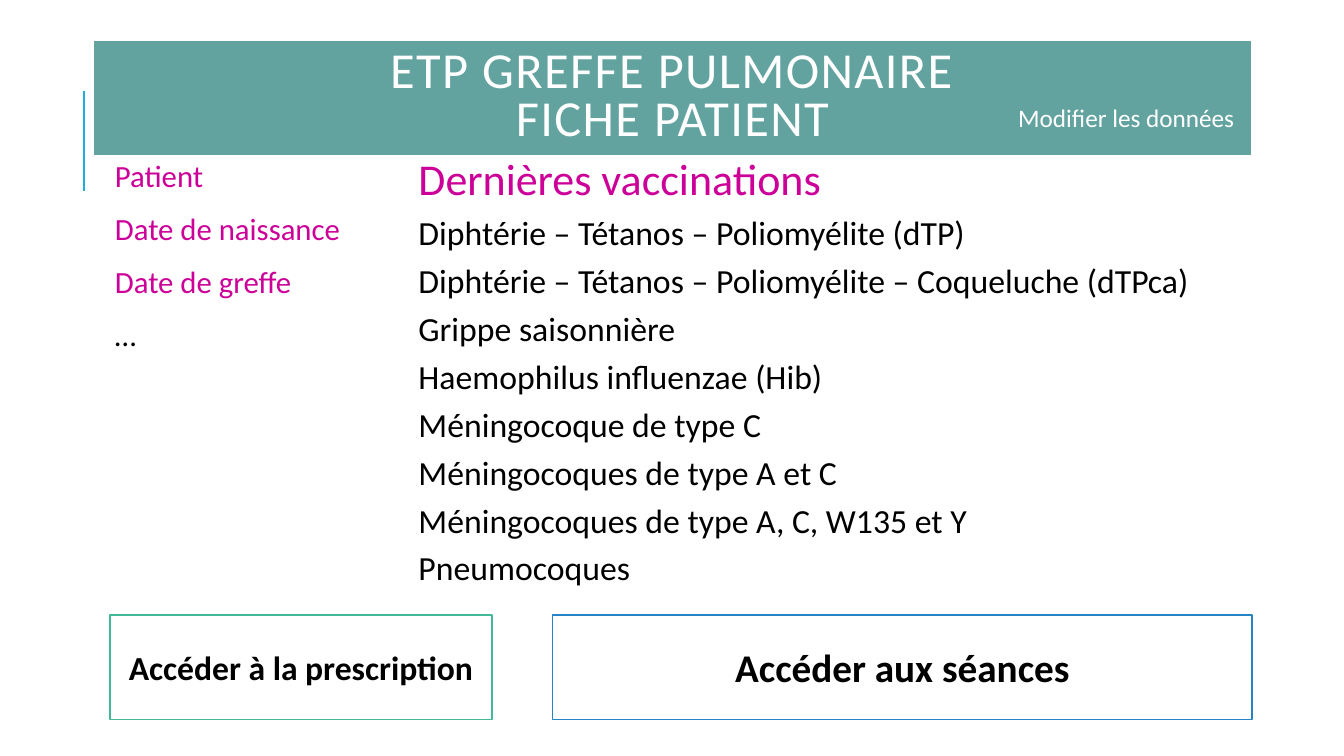
from dataclasses import dataclass

from lxml.etree import SubElement
from pptx import Presentation
from pptx.dml.color import RGBColor
from pptx.enum.shapes import MSO_CONNECTOR, MSO_SHAPE
from pptx.enum.text import MSO_ANCHOR, MSO_AUTO_SIZE, PP_ALIGN
from pptx.oxml.ns import qn
from pptx.util import Inches, Pt

WIDE, HIGH = Inches(13.33), Inches(7.5)
FONT = "Calibri"
HUES = {
    "white": "FFFFFF", "black": "000000", "pink": "CC0099", "teal": "62A39F",
    "cyan": "1CADE4", "green": "42BA97", "blue": "2683C6",
}

# Shared edges, in percent of the slide's width or height
LEFT, RIGHT = 8.18, 93.17
HEAD, FOOT = 5.33, 81.33


@dataclass
class Box:
    left: float
    top: float
    right: float
    base: float

    def place(self) -> tuple[int, int, int, int]:
        return (across(self.left), down(self.top),
                across(self.right - self.left), down(self.base - self.top))


@dataclass
class Line:
    text: str
    size: float
    hue: str = "black"
    bold: bool = False


@dataclass
class Panel:
    box: Box
    lines: list[Line]
    pitch: float = 1.0
    before: float = 0
    after: float = 0
    inset: float = 0.1


@dataclass
class Button:
    box: Box
    line: Line
    edge: str


def across(share: float) -> int:
    return round(WIDE * share / 100)


def down(share: float) -> int:
    return round(HIGH * share / 100)


def tint(name: str) -> RGBColor:
    return RGBColor.from_string(HUES[name])


def write(para, line: Line):
    run = para.add_run()
    run.text = line.text
    font = run.font
    font.name, font.size, font.bold = FONT, Pt(line.size), line.bold
    font.color.rgb = tint(line.hue)
    return run


def paint(shape, fill: str, edge: str, width: float) -> None:
    shape.fill.solid()
    shape.fill.fore_color.rgb = tint(fill)
    shape.line.color.rgb = tint(edge)
    shape.line.width = Pt(width)


def draw_title(slide, box: Box, lines: list[Line]) -> None:
    title = slide.shapes.title
    title.left, title.top, title.width, title.height = box.place()
    paint(title, "teal", "white", 1.5)
    frame = title.text_frame
    frame.auto_size = MSO_AUTO_SIZE.NONE
    frame.vertical_anchor = MSO_ANCHOR.MIDDLE
    para = frame.paragraphs[0]
    para.alignment, para.line_spacing = PP_ALIGN.CENTER, 0.8
    for i, line in enumerate(lines):
        if i:
            para.add_line_break()
        # Letter spacing of one point
        write(para, line).font._element.set("spc", "100")


def draw_rule(slide, x: float, top: float, base: float) -> None:
    rule = slide.shapes.add_connector(
        MSO_CONNECTOR.STRAIGHT, across(x), down(base), across(x), down(top))
    rule.line.color.rgb = tint("cyan")
    rule.line.width = Pt(1.5)
    SubElement(rule._element.spPr, qn("a:effectLst"))


def draw_panel(slide, panel: Panel) -> None:
    frame = slide.shapes.add_textbox(*panel.box.place()).text_frame
    frame.word_wrap = True
    frame.margin_left = frame.margin_right = Inches(panel.inset)
    frame.margin_top = frame.margin_bottom = Inches(0.05)
    for i, line in enumerate(panel.lines):
        para = frame.add_paragraph() if i else frame.paragraphs[0]
        para.line_spacing = panel.pitch
        para.space_before, para.space_after = Pt(panel.before), Pt(panel.after)
        write(para, line)


def draw_button(slide, button: Button) -> None:
    shape = slide.shapes.add_shape(MSO_SHAPE.RECTANGLE, *button.box.place())
    shape.shadow.inherit = False
    paint(shape, "white", button.edge, 1.25)
    frame = shape.text_frame
    frame.word_wrap = True
    frame.vertical_anchor = MSO_ANCHOR.MIDDLE
    frame.paragraphs[0].alignment = PP_ALIGN.CENTER
    write(frame.paragraphs[0], button.line)


# Wording
TITLE = [Line(text, 36, "white")
         for text in ("ETP GREFFE PULMONAIRE", "FICHE PATIENT")]
FIELDS = [Line(text, 22, "pink")
          for text in ("Patient", "Date de naissance", "Date de greffe")]
SHOTS = [Line(text, 24.1) for text in (
    "Diphtérie – Tétanos – Poliomyélite (dTP)",
    "Diphtérie – Tétanos – Poliomyélite – Coqueluche (dTPca)",
    "Grippe saisonnière",
    "Haemophilus influenzae (Hib)",
    "Méningocoque de type C",
    "Méningocoques de type A et C",
    "Méningocoques de type A, C, W135 et Y",
    "Pneumocoques",
)]

PANELS = [
    # Patient record
    Panel(Box(LEFT, 20.67, 26.26, 55.33), FIELDS + [Line("…", 22)],
          0.9, 12, 2, 0.05),
    # Vaccinations
    Panel(Box(30.76, 21.33, RIGHT, FOOT),
          [Line("Dernières vaccinations", 31.4, "pink")] + SHOTS,
          0.7, 12, 2, 0.05),
    # Edit label on the title band
    Panel(Box(75.02, 12.93, 95.12, 18.27),
          [Line("Modifier les données", 18, "white")]),
]
BUTTONS = [
    Button(Box(LEFT, FOOT, 36.61, 95.2),
           Line("Accéder à la prescription", 24, bold=True), "green"),
    Button(Box(41.11, FOOT, RIGHT, 95.2),
           Line("Accéder aux séances", 28, bold=True), "blue"),
]


def main() -> None:
    deck = Presentation()
    deck.slide_width, deck.slide_height = WIDE, HIGH
    slide = deck.slides.add_slide(deck.slide_layouts.get_by_name("Title Only"))
    draw_rule(slide, 6.23, 12, 25.33)
    draw_title(slide, Box(6.9, HEAD, RIGHT, 20.67), TITLE)
    for panel in PANELS:
        draw_panel(slide, panel)
    for button in BUTTONS:
        draw_button(slide, button)
    deck.save("out.pptx")


if __name__ == "__main__":
    main()
